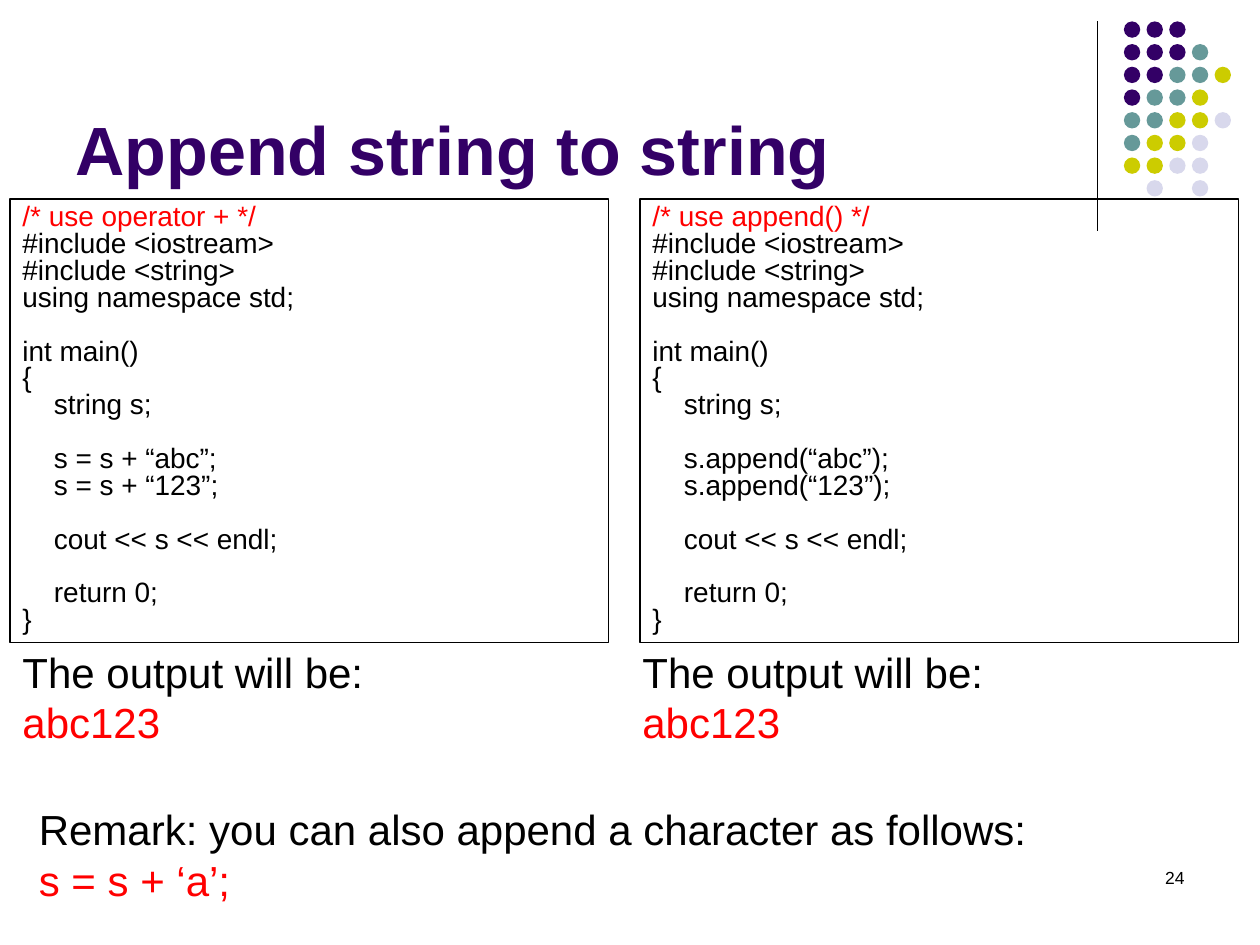
from lxml.etree import SubElement
from pptx import Presentation
from pptx.dml.color import RGBColor
from pptx.enum.shapes import MSO_CONNECTOR, MSO_SHAPE
from pptx.enum.text import MSO_ANCHOR, PP_ALIGN
from pptx.oxml.ns import qn
from pptx.util import Inches, Pt

BLACK, RED, PURPLE = "000000", "FF0000", "330066"
DOT_COLORS = {"P": PURPLE, "T": "669999", "Y": "CCCC00", "L": "D8D8EC"}
DOT_ROWS = ["PPP", "PPPT", "PPTTY", "PTTY", "TTYYL", "TYYL", "YYLL", " L L"]
CODE_SIZE = 16
CODE_SPACING = 0.8
BLANK_LINE = 15.3
CODE_TEMPLATE = """{comment}
#include <iostream>
#include <string>
using namespace std;

int main()
{{
    string s;

    {first}
    {second}

    cout << s << endl;

    return 0;
}}"""


def color(hex_code):
    return RGBColor.from_string(hex_code)


def add_run(paragraph, text, size, hex_code=BLACK, bold=False):
    run = paragraph.add_run()
    run.text = text
    run.font.name = "Arial"
    run.font.size = Pt(size)
    run.font.bold = bold
    run.font.color.rgb = color(hex_code)


def next_paragraph(text_frame, index):
    return text_frame.add_paragraph() if index else text_frame.paragraphs[0]


def add_divider(slide):
    line = slide.shapes.add_connector(
        MSO_CONNECTOR.STRAIGHT, Inches(8.71), Inches(0.17), Inches(8.71), Inches(1.83))
    line.line.color.rgb = color(BLACK)
    line.line.width = Pt(0.75)
    SubElement(line._element.spPr, qn("a:effectLst"))


def add_dots(slide):
    group = slide.shapes.add_group_shape()
    for row, codes in enumerate(DOT_ROWS):
        for column, code in enumerate(codes):
            if code == " ":
                continue
            dot = group.shapes.add_shape(
                MSO_SHAPE.OVAL, Inches(8.92 + 0.18 * column),
                Inches(0.17 + 0.18 * row), Inches(0.13), Inches(0.13))
            dot.shadow.inherit = False
            dot.fill.solid()
            dot.fill.fore_color.rgb = color(DOT_COLORS[code])
            dot.line.fill.background()


def set_title(slide, text):
    title = slide.shapes.title
    title.left, title.top = Inches(0.5), Inches(0.13)
    title.width, title.height = Inches(8.25), Inches(1.42)
    title.text_frame.vertical_anchor = MSO_ANCHOR.BOTTOM
    paragraph = title.text_frame.paragraphs[0]
    paragraph.alignment = PP_ALIGN.LEFT
    add_run(paragraph, text, 39, PURPLE, bold=True)


def add_code_box(slide, left, code):
    box = slide.shapes.add_shape(
        MSO_SHAPE.RECTANGLE, Inches(left), Inches(1.58), Inches(4.75), Inches(3.52))
    box.shadow.inherit = False
    box.fill.background()
    box.line.color.rgb = color(BLACK)
    box.line.width = Pt(0.75)
    text_frame = box.text_frame
    text_frame.word_wrap = True
    text_frame.vertical_anchor = MSO_ANCHOR.TOP

    # A blank line in the code becomes space before the next paragraph
    after_blank = False
    index = 0
    for line in code.splitlines():
        if not line:
            after_blank = True
            continue
        paragraph = next_paragraph(text_frame, index)
        paragraph.alignment = PP_ALIGN.LEFT
        paragraph.line_spacing = CODE_SPACING
        if after_blank:
            paragraph.space_before = Pt(BLANK_LINE)
        if line.startswith(" "):
            paragraph._p.get_or_add_pPr().set("marL", str(Inches(0.25)))
        add_run(paragraph, line.strip(), CODE_SIZE, BLACK if index else RED)
        after_blank = False
        index += 1


def add_text(slide, left, top, width, height, lines, size=24,
             align=PP_ALIGN.LEFT, wrap=True):
    box = slide.shapes.add_textbox(
        Inches(left), Inches(top), Inches(width), Inches(height))
    box.text_frame.word_wrap = wrap
    for index, (text, hex_code) in enumerate(lines):
        paragraph = next_paragraph(box.text_frame, index)
        paragraph.alignment = align
        add_run(paragraph, text, size, hex_code)


def main():
    presentation = Presentation()
    presentation.slide_width, presentation.slide_height = Inches(10), Inches(7.5)
    slide = presentation.slides.add_slide(presentation.slide_layouts[5])

    # Decoration and heading
    add_divider(slide)
    add_dots(slide)
    set_title(slide, "Append string to string")
    add_text(slide, 7.17, 6.83, 2.33, 0.5, [("24", BLACK)], 10, PP_ALIGN.RIGHT)

    # Two versions of the program
    add_code_box(slide, 0.08, CODE_TEMPLATE.format(
        comment="/* use operator + */", first="s = s + “abc”;", second="s = s + “123”;"))
    add_code_box(slide, 5.08, CODE_TEMPLATE.format(
        comment="/* use append() */", first="s.append(“abc”);", second="s.append(“123”);"))

    # Results and remark
    output = [("The output will be:", BLACK), ("abc123", RED)]
    for left in (0.08, 5):
        add_text(slide, left, 5.08, 4.42, 0.9, output)
    remark = [("Remark: you can also append a character as follows:", BLACK),
              ("s = s + ‘a’;", RED)]
    add_text(slide, 0.21, 6.33, 8.04, 0.9, remark, wrap=False)

    presentation.save("out.pptx")


if __name__ == "__main__":
    main()
